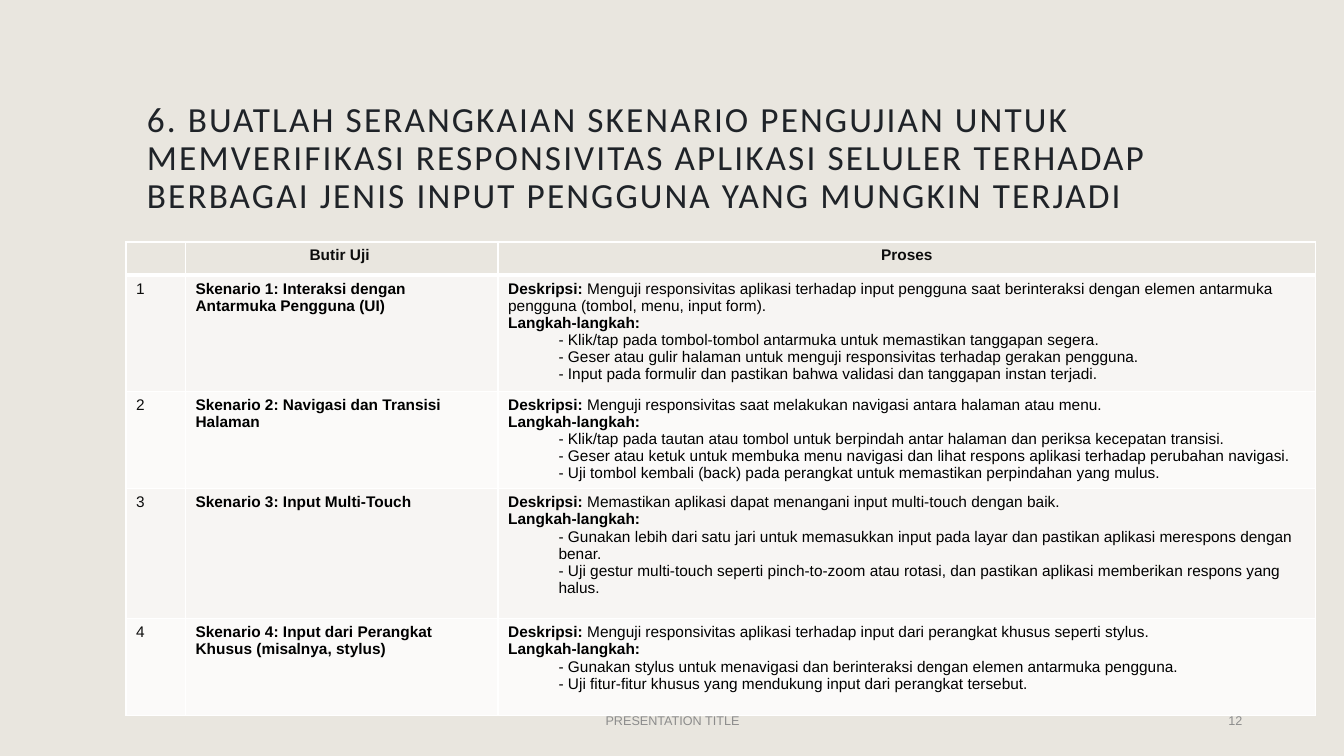
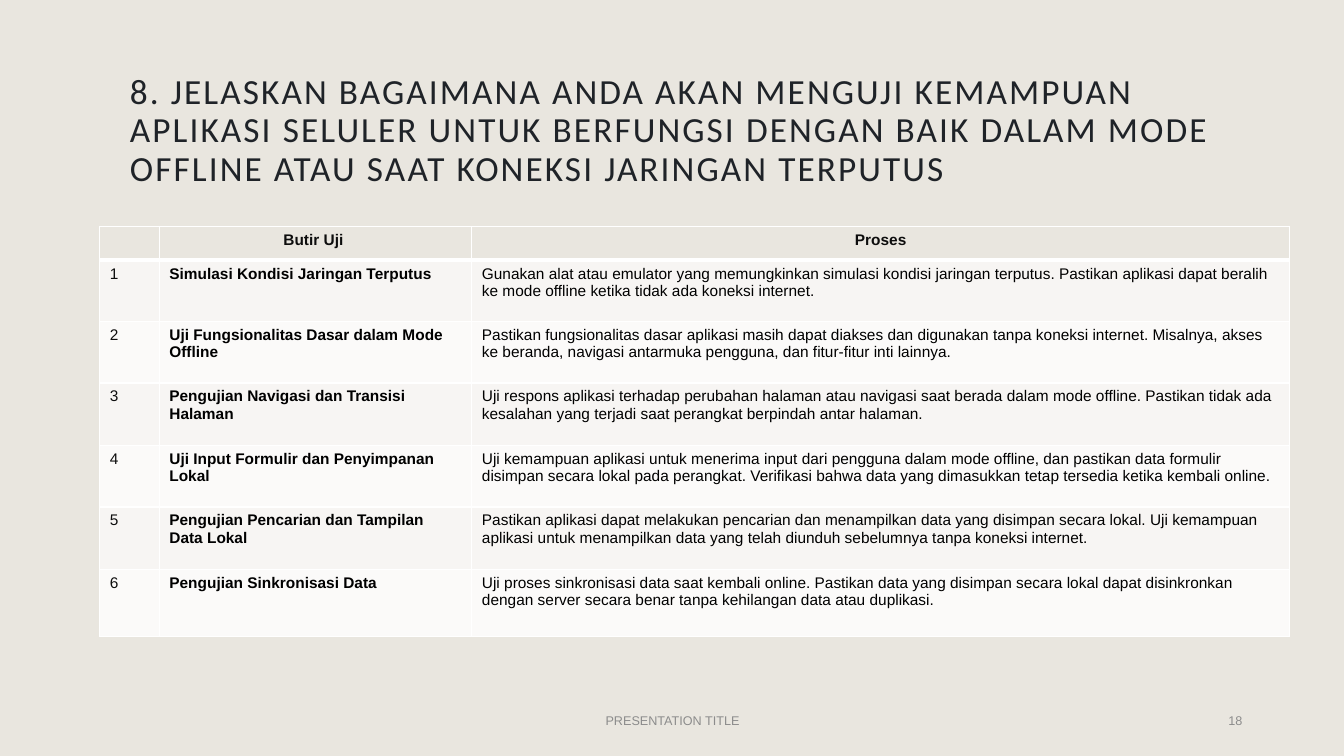
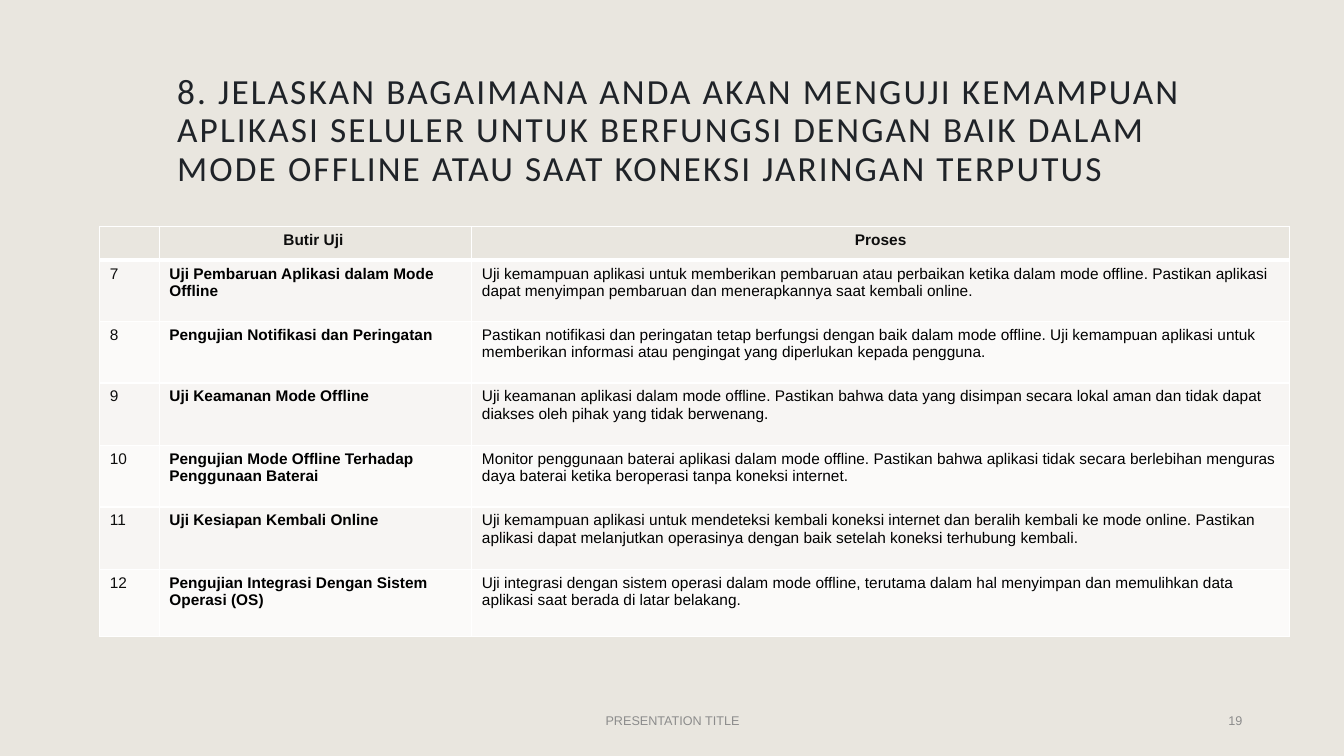
"""Build three slides of mobile application test tables."""
from dataclasses import dataclass

from lxml.etree import SubElement
from pptx import Presentation
from pptx.dml.color import RGBColor
from pptx.enum.text import MSO_ANCHOR as Anchor, PP_ALIGN as Align
from pptx.oxml.ns import qn
from pptx.util import Inches, Pt

CELL = Inches(0.01)
GRID_COLS, GRID_ROWS = 1333, 750

SAND = RGBColor(0xE9, 0xE6, 0xDF)
BAND_ODD = RGBColor(0xF7, 0xF5, 0xF3)
BAND_EVEN = RGBColor(0xFB, 0xFA, 0xF9)
INK = RGBColor(0x1F, 0x23, 0x28)
SOFT_BLACK = RGBColor(0x0D, 0x0D, 0x0D)
BLACK = RGBColor(0, 0, 0)
GREY = RGBColor(0x8C, 0x8C, 0x8C)
WHITE = RGBColor(0xFF, 0xFF, 0xFF)

COLUMNS = (59, 310, 811)
HEADER_ROW = 33
HEADINGS = ("", "Butir Uji ", "Proses")
FOOTER_TOP, FOOTER_HEIGHT = 695, 40
TITLE_RIGHT, TITLE_HEIGHT = 1242, 121


@dataclass(frozen=True)
class Style:
    """Character formatting."""
    size: float
    color: RGBColor
    font: str = "Arial"
    bold: bool = False
    spacing: int = 0


@dataclass(frozen=True)
class TestItem:
    """One table row: what is tested and how."""
    name: str
    process: str
    steps: tuple[str, ...] = ()


@dataclass(frozen=True)
class TestSlide:
    """One slide with a title and a numbered test table."""
    title: str
    title_at: tuple[int, int]
    table_at: tuple[int, int]
    row_heights: tuple[int, ...]
    number: int
    first_item: int
    items: tuple[TestItem, ...]


TITLE = Style(25.2, INK, "Calibri", spacing=150)
FOOTER = Style(9, GREY)
HEADING = Style(11, SOFT_BLACK, bold=True)
NUMBER = Style(11, SOFT_BLACK)
BODY = Style(11, BLACK)
STRONG = Style(11, BLACK, bold=True)

OFFLINE_TITLE = (
    "8. JELASKAN BAGAIMANA ANDA AKAN MENGUJI KEMAMPUAN APLIKASI SELULER UNTUK "
    "BERFUNGSI DENGAN BAIK DALAM MODE OFFLINE ATAU SAAT KONEKSI JARINGAN TERPUTUS")
OFFLINE_TABLE = (99, 225)
OFFLINE_ROWS = (61, 61, 62, 61, 62, 67)

SLIDES = (
    TestSlide(
        "6. BUATLAH SERANGKAIAN SKENARIO PENGUJIAN UNTUK MEMVERIFIKASI RESPONSIVITAS "
        "APLIKASI SELULER TERHADAP BERBAGAI JENIS INPUT PENGGUNA YANG MUNGKIN TERJADI",
        (136, 97), (125, 240), (112, 95, 129, 96), 12, 1, (
            TestItem(
                "Skenario 1: Interaksi dengan Antarmuka Pengguna (UI)",
                "Menguji responsivitas aplikasi terhadap input pengguna saat berinteraksi "
                "dengan elemen antarmuka pengguna (tombol, menu, input form).",
                ("Klik/tap pada tombol-tombol antarmuka untuk memastikan tanggapan segera.",
                 "Geser atau gulir halaman untuk menguji responsivitas terhadap gerakan pengguna.",
                 "Input pada formulir dan pastikan bahwa validasi dan tanggapan instan terjadi.")),
            TestItem(
                "Skenario 2: Navigasi dan Transisi Halaman",
                "Menguji responsivitas saat melakukan navigasi antara halaman atau menu.",
                ("Klik/tap pada tautan atau tombol untuk berpindah antar halaman dan periksa "
                 "kecepatan transisi.",
                 "Geser atau ketuk untuk membuka menu navigasi dan lihat respons aplikasi "
                 "terhadap perubahan navigasi.",
                 "Uji tombol kembali (back) pada perangkat untuk memastikan perpindahan "
                 "yang mulus.")),
            TestItem(
                "Skenario 3: Input Multi-Touch",
                "Memastikan aplikasi dapat menangani input multi-touch dengan baik.",
                ("Gunakan lebih dari satu jari untuk memasukkan input pada layar dan pastikan "
                 "aplikasi merespons dengan benar.",
                 "Uji gestur multi-touch seperti pinch-to-zoom atau rotasi, dan pastikan "
                 "aplikasi memberikan respons yang halus.")),
            TestItem(
                "Skenario 4: Input dari Perangkat Khusus (misalnya, stylus)",
                "Menguji responsivitas aplikasi terhadap input dari perangkat khusus "
                "seperti stylus.",
                ("Gunakan stylus untuk menavigasi dan berinteraksi dengan elemen antarmuka "
                 "pengguna.",
                 "Uji fitur-fitur khusus yang mendukung input dari perangkat tersebut.")),
        )),
    TestSlide(
        OFFLINE_TITLE, (119, 70), OFFLINE_TABLE, OFFLINE_ROWS, 18, 1, (
            TestItem(
                "Simulasi Kondisi Jaringan Terputus",
                "Gunakan alat atau emulator yang memungkinkan simulasi kondisi jaringan "
                "terputus. Pastikan aplikasi dapat beralih ke mode offline ketika tidak ada "
                "koneksi internet."),
            TestItem(
                "Uji Fungsionalitas Dasar dalam Mode Offline",
                "Pastikan fungsionalitas dasar aplikasi masih dapat diakses dan digunakan "
                "tanpa koneksi internet. Misalnya, akses ke beranda, navigasi antarmuka "
                "pengguna, dan fitur-fitur inti lainnya."),
            TestItem(
                "Pengujian Navigasi dan Transisi Halaman",
                "Uji respons aplikasi terhadap perubahan halaman atau navigasi saat berada "
                "dalam mode offline. Pastikan tidak ada kesalahan yang terjadi saat perangkat "
                "berpindah antar halaman."),
            TestItem(
                "Uji Input Formulir dan Penyimpanan Lokal",
                "Uji kemampuan aplikasi untuk menerima input dari pengguna dalam mode offline, "
                "dan pastikan data formulir disimpan secara lokal pada perangkat. Verifikasi "
                "bahwa data yang dimasukkan tetap tersedia ketika kembali online."),
            TestItem(
                "Pengujian Pencarian dan Tampilan Data Lokal",
                "Pastikan aplikasi dapat melakukan pencarian dan menampilkan data yang "
                "disimpan secara lokal. Uji kemampuan aplikasi untuk menampilkan data yang "
                "telah diunduh sebelumnya tanpa koneksi internet."),
            TestItem(
                "Pengujian Sinkronisasi Data",
                "Uji proses sinkronisasi data saat kembali online. Pastikan data yang disimpan "
                "secara lokal dapat disinkronkan dengan server secara benar tanpa kehilangan "
                "data atau duplikasi."),
        )),
    TestSlide(
        OFFLINE_TITLE, (166, 70), OFFLINE_TABLE, OFFLINE_ROWS, 19, 7, (
            TestItem(
                "Uji Pembaruan Aplikasi dalam Mode Offline",
                "Uji kemampuan aplikasi untuk memberikan pembaruan atau perbaikan ketika dalam "
                "mode offline. Pastikan aplikasi dapat menyimpan pembaruan dan menerapkannya "
                "saat kembali online."),
            TestItem(
                "Pengujian Notifikasi dan Peringatan",
                "Pastikan notifikasi dan peringatan tetap berfungsi dengan baik dalam mode "
                "offline. Uji kemampuan aplikasi untuk memberikan informasi atau pengingat "
                "yang diperlukan kepada pengguna."),
            TestItem(
                "Uji Keamanan Mode Offline",
                "Uji keamanan aplikasi dalam mode offline. Pastikan bahwa data yang disimpan "
                "secara lokal aman dan tidak dapat diakses oleh pihak yang tidak berwenang."),
            TestItem(
                "Pengujian Mode Offline Terhadap Penggunaan Baterai",
                "Monitor penggunaan baterai aplikasi dalam mode offline. Pastikan bahwa "
                "aplikasi tidak secara berlebihan menguras daya baterai ketika beroperasi "
                "tanpa koneksi internet."),
            TestItem(
                "Uji Kesiapan Kembali Online",
                "Uji kemampuan aplikasi untuk mendeteksi kembali koneksi internet dan beralih "
                "kembali ke mode online. Pastikan aplikasi dapat melanjutkan operasinya dengan "
                "baik setelah koneksi terhubung kembali."),
            TestItem(
                "Pengujian Integrasi Dengan Sistem Operasi (OS)",
                "Uji integrasi dengan sistem operasi dalam mode offline, terutama dalam hal "
                "menyimpan dan memulihkan data aplikasi saat berada di latar belakang."),
        )),
)


def format_run(r, style: Style) -> None:
    """Apply a character style to a run."""
    r.font.size = Pt(style.size)
    r.font.name = style.font
    r.font.bold = style.bold
    r.font.color.rgb = style.color
    if style.spacing:
        r._r.get_or_add_rPr().set("spc", str(style.spacing))


def write(p, text: str, style: Style, align: Align = Align.LEFT) -> None:
    """Set a paragraph's text and format it, its end mark included."""
    p.text = text
    p.alignment = align
    for r in p.runs:
        format_run(r, style)
    p._p.get_or_add_endParaRPr().set("sz", str(round(style.size * 100)))


def add_text(slide, box: tuple[int, int, int, int], text: str, style: Style,
             align: Align = Align.LEFT, line_spacing: float = 1.0) -> None:
    """Add a vertically centred text box placed in grid cells."""
    sp = slide.shapes.add_textbox(*(n * CELL for n in box))
    tf = sp.text_frame
    tf.word_wrap = True
    tf.vertical_anchor = Anchor.MIDDLE
    p = tf.paragraphs[0]
    write(p, text, style, align)
    p.line_spacing = line_spacing


def paint_cell(cell, fill: RGBColor, top: int = 1, bottom: int = 1) -> None:
    """Give a table cell white borders, a fill and no bottom margin."""
    tc_pr = cell._tc.get_or_add_tcPr()
    for side, width in (("L", 1), ("R", 1), ("T", top), ("B", bottom)):
        ln = SubElement(tc_pr, qn(f"a:ln{side}"), w=str(Pt(width)))
        solid = SubElement(ln, qn("a:solidFill"))
        SubElement(solid, qn("a:srgbClr"), val=str(WHITE))
    cell.fill.solid()
    cell.fill.fore_color.rgb = fill
    cell.margin_bottom = 0


def write_process(tf, item: TestItem) -> None:
    """Write the process text, with its steps if there are any."""
    p = tf.paragraphs[0]
    if not item.steps:
        write(p, item.process, BODY)
        return
    write(p, "Deskripsi: ", STRONG)
    r = p.add_run()
    r.text = item.process
    format_run(r, BODY)
    write(tf.add_paragraph(), "Langkah-langkah:", STRONG)
    for step in item.steps:
        p = tf.add_paragraph()
        write(p, f"- {step}", BODY)
        p.level = 1
        p_pr = p._p.get_or_add_pPr()
        p_pr.set("marL", str(Inches(0.5)))
        p_pr.set("indent", "0")


def add_test_table(slide, content: TestSlide) -> None:
    """Add the numbered test table."""
    heights = (HEADER_ROW, *content.row_heights)
    left, top = content.table_at
    box = (left, top, sum(COLUMNS), sum(heights))
    table = slide.shapes.add_table(
        len(heights), len(COLUMNS), *(n * CELL for n in box)).table
    table.first_row = table.horz_banding = False
    for column, width in zip(table.columns, COLUMNS):
        column.width = width * CELL
    for row, height in zip(table.rows, heights):
        row.height = height * CELL

    for col, heading in enumerate(HEADINGS):
        cell = table.cell(0, col)
        paint_cell(cell, SAND, bottom=3)
        write(cell.text_frame.paragraphs[0], heading, HEADING, Align.CENTER)

    for row, item in enumerate(content.items, start=1):
        cells = [table.cell(row, col) for col in range(len(COLUMNS))]
        for cell in cells:
            paint_cell(cell, BAND_ODD if row % 2 else BAND_EVEN, top=3 if row == 1 else 1)
        number, name, process = (cell.text_frame for cell in cells)
        write(number.paragraphs[0], str(content.first_item + row - 1), NUMBER)
        write(name.paragraphs[0], item.name, STRONG)
        write_process(process, item)


def add_test_slide(prs, content: TestSlide) -> None:
    """Add one slide with title, table and footer."""
    slide = prs.slides.add_slide(prs.slide_layouts[6])
    slide.background.fill.solid()
    slide.background.fill.fore_color.rgb = SAND
    left, top = content.title_at
    add_text(slide, (left, top, TITLE_RIGHT - left, TITLE_HEIGHT), content.title, TITLE,
             line_spacing=0.9)
    add_test_table(slide, content)
    add_text(slide, (442, FOOTER_TOP, 450, FOOTER_HEIGHT), "PRESENTATION TITLE", FOOTER,
             Align.CENTER)
    add_text(slide, (942, FOOTER_TOP, 300, FOOTER_HEIGHT), str(content.number), FOOTER,
             Align.RIGHT)


def main() -> None:
    """Build and save the presentation."""
    prs = Presentation()
    prs.slide_width = GRID_COLS * CELL
    prs.slide_height = GRID_ROWS * CELL
    for content in SLIDES:
        add_test_slide(prs, content)
    prs.save("out.pptx")


if __name__ == "__main__":
    main()
